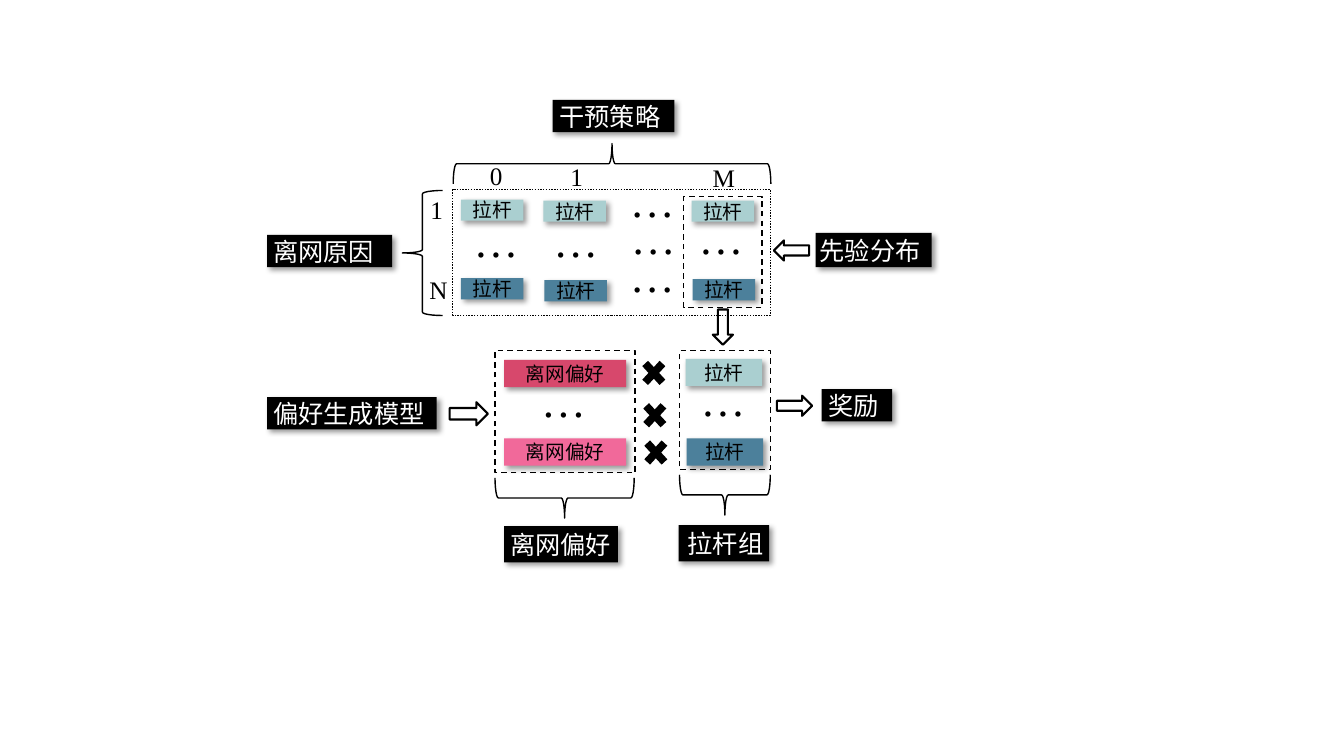
import pptx
import pptx.util
import pptx.dml.color
import pptx.enum.dml
import pptx.enum.shapes
import pptx.enum.text
import pptx.oxml
import pptx.oxml.ns

Inches, Pt = pptx.util.Inches, pptx.util.Pt
MSO = pptx.enum.shapes.MSO_SHAPE
DASH = pptx.enum.dml.MSO_LINE
ALIGN = pptx.enum.text.PP_ALIGN
ANCHOR = pptx.enum.text.MSO_ANCHOR
COLORS = {"black": "000000", "white": "FFFFFF", "teal": "AACFD0",
          "blue": "4C809B", "red": "D7486C", "pink": "F1699A"}
SHADOW = ('<a:effectLst %s><a:outerShdw blurRad="50800" dist="38100" dir="2700000" '
          'algn="tl" rotWithShape="0"><a:srgbClr val="000000"><a:alpha val="40000"/>'
          '</a:srgbClr></a:outerShdw></a:effectLst>' % pptx.oxml.ns.nsdecls("a"))

prs = pptx.Presentation()
prs.slide_width, prs.slide_height = Inches(13.33), Inches(7.5)
s = prs.slides.add_slide(prs.slide_layouts[6])


def add_shape(kind, box, fill=None, line=None, dash=None, rot=0, shadow=False):
    """Add a preset shape with a plain fill, an outline in points and an optional shadow."""
    sp = s.shapes.add_shape(kind, *map(Inches, box))
    sp.rotation = rot
    sp.shadow.inherit = False
    if fill:
        sp.fill.solid()
        sp.fill.fore_color.rgb = pptx.dml.color.RGBColor.from_string(COLORS[fill])
    else:
        sp.fill.background()
    if line:
        sp.line.color.rgb = pptx.dml.color.RGBColor.from_string(COLORS["black"])
        sp.line.width = Pt(line)
        if dash:
            sp.line.dash_style = dash
    else:
        sp.line.fill.background()
    if shadow:
        props = sp.fill._xPr
        props.remove(props.find(pptx.oxml.ns.qn("a:effectLst")))
        props.append(pptx.oxml.parse_xml(SHADOW))
    return sp


def write(sp, text, size, color="black", align=ALIGN.LEFT):
    """Write one run of text into a shape or text box."""
    tf = sp.text_frame
    tf.word_wrap = True
    p = tf.paragraphs[0]
    p.alignment = align
    r = p.add_run()
    r.text = text
    r.font.size = Pt(size)
    r.font.name = "Times New Roman"
    r.font.color.rgb = pptx.dml.color.RGBColor.from_string(COLORS[color])


# Lever and preference tiles
tiles = [
    ("拉杆", "teal", 0.62, 0.21, [(4.57, 1.98), (5.39, 1.99), (6.86, 1.99)]),
    ("拉杆", "blue", 0.62, 0.21, [(4.57, 2.76), (5.4, 2.78), (6.87, 2.77)]),
    ("拉杆", "teal", 0.76, 0.27, [(6.8, 3.56)]),
    ("拉杆", "blue", 0.76, 0.27, [(6.81, 4.35)]),
    ("离网偏好", "red", 1.21, 0.27, [(5, 3.57)]),
    ("离网偏好", "pink", 1.21, 0.27, [(5, 4.35)]),
]
for text, color, width, height, spots in tiles:
    for left, top in spots:
        sp = add_shape(MSO.RECTANGLE, (left, top, width, height), color, shadow=True)
        tf = sp.text_frame
        tf.margin_left = tf.margin_right = tf.margin_top = tf.margin_bottom = 0
        tf.vertical_anchor = ANCHOR.MIDDLE
        write(sp, text, 14, align=ALIGN.CENTER)

# Ellipses
for left, top in [(6.15, 1.66), (4.6, 2.06), (5.39, 2.06), (6.16, 2.03), (6.83, 2.03),
                  (6.15, 2.41), (6.85, 3.64), (5.27, 3.65)]:
    write(s.shapes.add_textbox(*map(Inches, (left, top, 0.67, 0.64))), "…", 32)

# Row and column indexes
for text, left, top in [("0", 4.76, 1.54), ("1", 5.56, 1.55), ("M", 6.97, 1.56),
                        ("1", 4.17, 1.88), ("N", 4.16, 2.67)]:
    write(s.shapes.add_textbox(*map(Inches, (left, top, 0.39, 0.4))), text, 18)

# Braces
for box, rot in [((3.99, 1.89, 0.4, 1.24), 0), ((5.87, 0.05, 0.4, 3.15), 90),
                 ((6.99, 4.46, 0.4, 0.9), 270), ((5.4, 4.25, 0.4, 1.38), 270)]:
    add_shape(MSO.LEFT_BRACE, box, line=1, rot=rot)

# Multiplication signs
for left, top in [(6.32, 3.52), (6.33, 3.94), (6.34, 4.31)]:
    add_shape(MSO.MATH_MULTIPLY, (left, top, 0.33, 0.36), "black")

# Block arrows
add_shape(MSO.RIGHT_ARROW, (4.46, 3.99, 0.38, 0.23), "white", 1.5)
for left, top, rot in [(7.07, 3.07, 0), (7.78, 3.85, 270), (7.75, 2.31, 90)]:
    add_shape(MSO.DOWN_ARROW, (left, top, 0.2, 0.35), "white", 1.5, rot=rot)

# Dashed frames
for box, dash in [((6.78, 1.95, 0.78, 1.1), DASH.DASH), ((4.49, 1.88, 3.15, 1.25), DASH.ROUND_DOT),
                  ((6.74, 3.48, 0.9, 1.18), DASH.DASH), ((4.91, 3.48, 1.39, 1.21), DASH.DASH)]:
    add_shape(MSO.RECTANGLE, box, line=1, dash=dash)

# Black labels
labels = [
    ("干预策略", (5.48, 0.99, 1.21, 0.32), 0.07),
    ("离网原因", (2.65, 2.33, 1.24, 0.32), 0.06),
    ("先验分布", (8.09, 2.31, 1.15, 0.34), 0.04),
    ("偏好生成模型", (2.65, 3.94, 1.68, 0.32), 0.06),
    ("奖励", (8.15, 3.86, 0.7, 0.32), 0.07),
    ("离网偏好", (5, 5.22, 1.13, 0.36), 0.06),
    ("拉杆组", (6.73, 5.21, 0.9, 0.36), 0.09),
]
for text, box, inset in labels:
    sp = add_shape(MSO.RECTANGLE, box, "black", shadow=True)
    tf = sp.text_frame
    tf.margin_left = Inches(inset)
    tf.margin_right = tf.margin_top = tf.margin_bottom = 0
    tf.vertical_anchor = ANCHOR.MIDDLE
    write(sp, text, 18, "white")

prs.save("out.pptx")
